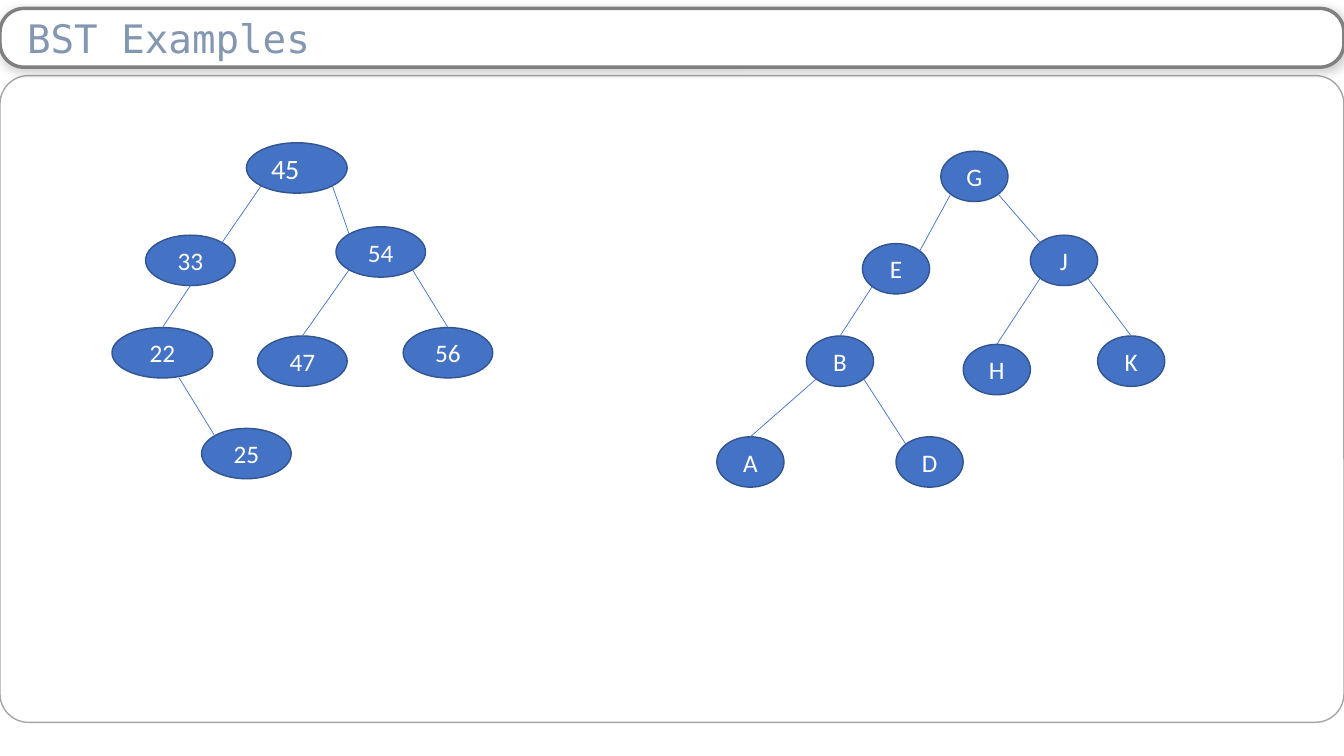
from dataclasses import dataclass
from enum import Enum

from lxml import etree
from pptx import Presentation
from pptx import util as u
from pptx.dml.color import RGBColor
from pptx.enum import shapes, text
from pptx.oxml.ns import qn

COLS, ROWS = 120, 90
SLIDE_W, SLIDE_H = u.Inches(13.333), u.Inches(7.5)
NODE_ROWS = 6
DIAGONAL = 0.5 ** 0.5 / 2


@dataclass(frozen=True)
class Theme:
    white: str = "FFFFFF"
    panel_line: str = "A6A6A6"
    bar_line: str = "808080"
    title: str = "8497B0"
    node: str = "4472C4"
    node_line: str = "325491"
    shadow: str = "000000"
    title_font: str = "DejaVu Sans Mono"
    node_font: str = "Calibri"
    title_pt: float = 28
    root_pt: float = 20
    node_pt: float = 18
    bar_line_pt: float = 2.5
    outline_pt: float = 1
    edge_pt: float = 0.5


THEME = Theme()


class Anchor(Enum):
    """Points on a node, as shares of its width and height."""
    TOP = (0.5, 0)
    TOP_LEFT = (0.5 - DIAGONAL, 0.5 - DIAGONAL)
    TOP_RIGHT = (0.5 + DIAGONAL, 0.5 - DIAGONAL)
    BOTTOM = (0.5, 1)
    BOTTOM_LEFT = (0.5 - DIAGONAL, 0.5 + DIAGONAL)
    BOTTOM_RIGHT = (0.5 + DIAGONAL, 0.5 + DIAGONAL)
    BOTTOM_TWO_THIRDS = (2 / 3, 1)


@dataclass(frozen=True)
class Node:
    key: str
    col: int
    row: int
    cols: int
    size: float = THEME.node_pt
    align: text.PP_ALIGN = text.PP_ALIGN.CENTER


@dataclass(frozen=True)
class Edge:
    parent: str
    start: Anchor
    child: str
    end: Anchor


@dataclass(frozen=True)
class Tree:
    nodes: tuple[Node, ...]
    edges: tuple[Edge, ...]


NUMBERS = Tree(
    nodes=(
        Node("45", 22, 17, 9, THEME.root_pt, text.PP_ALIGN.LEFT),
        Node("54", 30, 27, 8),
        Node("33", 13, 28, 8),
        Node("56", 36, 39, 8),
        Node("47", 23, 40, 8),
        Node("22", 10, 39, 9),
        Node("25", 18, 51, 8),
    ),
    edges=(
        Edge("45", Anchor.BOTTOM_LEFT, "33", Anchor.TOP_RIGHT),
        Edge("45", Anchor.BOTTOM_RIGHT, "54", Anchor.TOP_LEFT),
        Edge("33", Anchor.BOTTOM, "22", Anchor.TOP),
        Edge("22", Anchor.BOTTOM_TWO_THIRDS, "25", Anchor.TOP_LEFT),
        Edge("54", Anchor.BOTTOM_RIGHT, "56", Anchor.TOP),
        Edge("54", Anchor.BOTTOM_LEFT, "47", Anchor.TOP),
    ),
)
LETTERS = Tree(
    nodes=(
        Node("G", 84, 18, 6),
        Node("J", 92, 28, 6),
        Node("E", 77, 29, 6),
        Node("K", 98, 40, 6),
        Node("H", 86, 41, 6),
        Node("B", 72, 40, 6),
        Node("D", 80, 52, 6),
        Node("A", 64, 52, 6),
    ),
    edges=(
        Edge("G", Anchor.BOTTOM_LEFT, "E", Anchor.TOP_RIGHT),
        Edge("G", Anchor.BOTTOM_RIGHT, "J", Anchor.TOP_LEFT),
        Edge("E", Anchor.BOTTOM_LEFT, "B", Anchor.TOP),
        Edge("B", Anchor.BOTTOM_RIGHT, "D", Anchor.TOP_LEFT),
        Edge("J", Anchor.BOTTOM_RIGHT, "K", Anchor.TOP),
        Edge("J", Anchor.BOTTOM_LEFT, "H", Anchor.TOP),
        Edge("B", Anchor.BOTTOM_LEFT, "A", Anchor.TOP),
    ),
)


def x(col: float) -> int:
    return round(SLIDE_W * col / COLS)


def y(row: float) -> int:
    return round(SLIDE_H * row / ROWS)


def add_outlined(parent, kind, col: float, row: float, cols: float, rows: float,
                 fill: str | None, line: str, line_pt: float):
    sp = parent.add_shape(kind, x(col), y(row), x(cols), y(rows))
    sp.shadow.inherit = False
    if fill is None:
        sp.fill.background()
    else:
        sp.fill.solid()
        sp.fill.fore_color.rgb = RGBColor.from_string(fill)
    sp.line.color.rgb = RGBColor.from_string(line)
    sp.line.width = u.Pt(line_pt)
    return sp


def write(sp, words: str, font: str, size: float, color: str, align) -> None:
    tf = sp.text_frame
    tf.vertical_anchor = text.MSO_ANCHOR.MIDDLE
    p = tf.paragraphs[0]
    p.alignment = align
    r = p.add_run()
    r.text = words
    r.font.name = font
    r.font.size = u.Pt(size)
    r.font.color.rgb = RGBColor.from_string(color)


def add_panel(s) -> None:
    sp = add_outlined(s.shapes, shapes.MSO_SHAPE.ROUNDED_RECTANGLE, 0, 9, COLS, 77,
                      None, THEME.panel_line, THEME.outline_pt)
    sp.adjustments[0] = 0.044


def add_title_bar(s, title: str) -> None:
    sp = add_outlined(s.shapes, shapes.MSO_SHAPE.ROUNDED_RECTANGLE, 0, 1, COLS, 7,
                      THEME.white, THEME.bar_line, THEME.bar_line_pt)
    sp.adjustments[0] = 0.409
    tf = sp.text_frame
    tf.margin_left, tf.margin_right = u.Inches(0.2), u.Inches(0.1)
    tf.margin_top = tf.margin_bottom = 0
    write(sp, title, THEME.title_font, THEME.title_pt, THEME.title, text.PP_ALIGN.LEFT)
    effects = sp._element.spPr.find(qn("a:effectLst"))
    shadow = etree.SubElement(effects, qn("a:outerShdw"), blurRad=str(u.Pt(6)),
                              dist=str(u.Pt(1)), dir="2700000", rotWithShape="0")
    color = etree.SubElement(shadow, qn("a:srgbClr"), val=THEME.shadow)
    etree.SubElement(color, qn("a:alpha"), val="20000")


def anchor_point(node: Node, anchor: Anchor) -> tuple[int, int]:
    across, down = anchor.value
    return x(node.col + across * node.cols), y(node.row + down * NODE_ROWS)


def add_tree(s, tree: Tree) -> None:
    group = s.shapes.add_group_shape().shapes
    for node in tree.nodes:
        sp = add_outlined(group, shapes.MSO_SHAPE.OVAL, node.col, node.row, node.cols,
                          NODE_ROWS, THEME.node, THEME.node_line, THEME.outline_pt)
        write(sp, node.key, THEME.node_font, node.size, THEME.white, node.align)
    by_key = {node.key: node for node in tree.nodes}
    for edge in tree.edges:
        line = group.add_connector(shapes.MSO_CONNECTOR.STRAIGHT,
                                   *anchor_point(by_key[edge.parent], edge.start),
                                   *anchor_point(by_key[edge.child], edge.end))
        line.line.color.rgb = RGBColor.from_string(THEME.node)
        line.line.width = u.Pt(THEME.edge_pt)
        etree.SubElement(line._element.spPr, qn("a:effectLst"))


def main() -> None:
    prs = Presentation()
    prs.slide_width, prs.slide_height = SLIDE_W, SLIDE_H
    s = prs.slides.add_slide(prs.slide_layouts[6])
    add_panel(s)
    add_title_bar(s, "BST Examples")
    for tree in (NUMBERS, LETTERS):
        add_tree(s, tree)
    prs.save("out.pptx")


if __name__ == "__main__":
    main()
